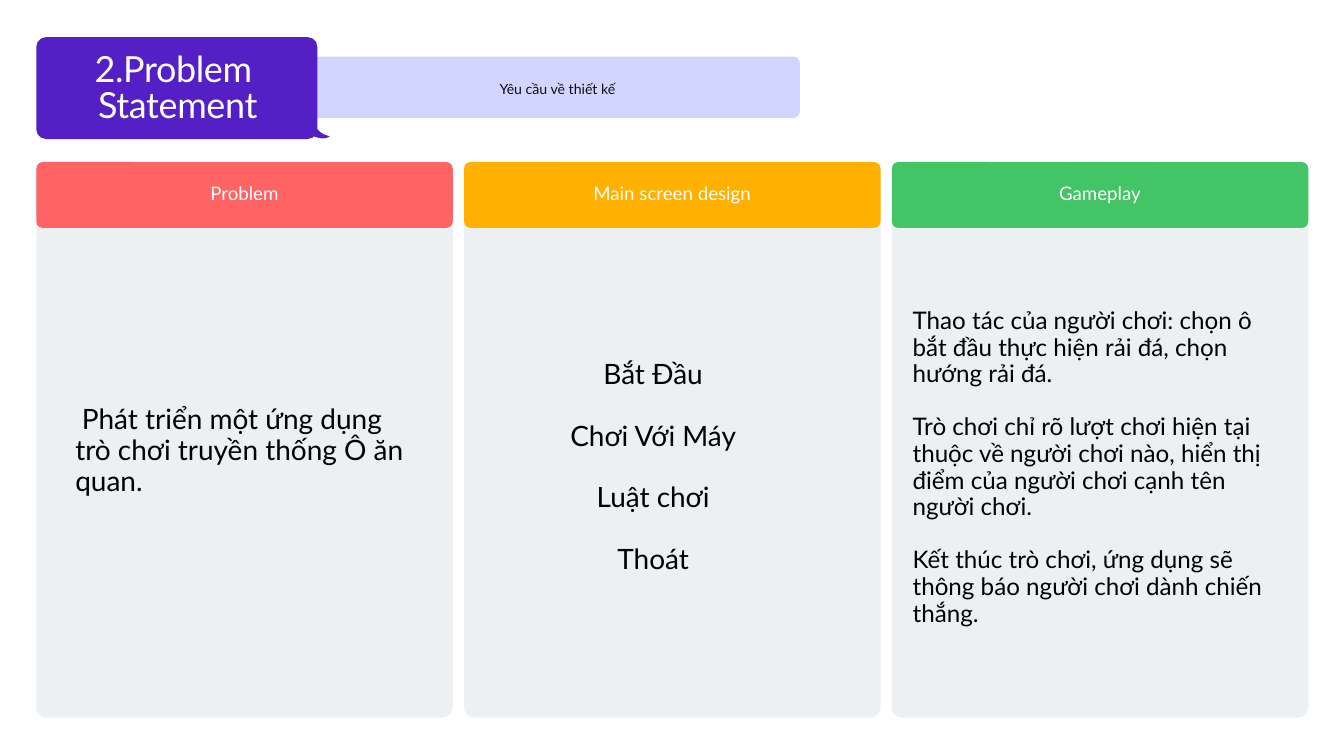
from pptx import Presentation
from pptx.dml.color import RGBColor
from pptx.enum.shapes import MSO_SHAPE
from pptx.enum.text import MSO_ANCHOR, MSO_AUTO_SIZE, PP_ALIGN
from pptx.oxml.ns import qn
from pptx.util import Pt
from lxml import etree

FONT = "Lato"
COLORS = {
    "panel": "EDF0F2", "banner": "D2D5FF", "title": "541FC4",
    "problem": "FF6363", "screen": "FFB001", "gameplay": "43C466",
    "white": "FFFFFF", "black": "000000", "subtitle": "100F0D",
}
LEFT, TOP, PITCH = 38.9, 173.6, 458.3
COLUMN_WIDTH, PANEL_HEIGHT, HEADER_HEIGHT = 446.2, 595.4, 70.6
COLUMNS = [("Problem", "problem"), ("Main screen design", "screen"), ("Gameplay", "gameplay")]

PROBLEM = ["Phát triển một ứng dụng trò chơi truyền thống Ô ăn quan."]
MENU = ["Bắt Đầu", "Chơi Với Máy", "Luật chơi", "Thoát"]
GAMEPLAY = [
    "Thao tác của người chơi: chọn ô bắt đầu thực hiện rải đá, chọn hướng rải đá.",
    "Trò chơi chỉ rõ lượt chơi hiện tại thuộc về người chơi nào, hiển thị điểm của "
    "người chơi cạnh tên người chơi.",
    "Kết thúc trò chơi, ứng dụng sẽ thông báo người chơi dành chiến thắng.",
]


def paint(shape, color):
    shape.shadow.inherit = False
    shape.fill.solid()
    shape.fill.fore_color.rgb = RGBColor.from_string(COLORS[color])
    shape.line.fill.background()


def add_card(slide, left, top, width, height, radius, color):
    shape = slide.shapes.add_shape(
        MSO_SHAPE.ROUNDED_RECTANGLE, Pt(left), Pt(top), Pt(width), Pt(height))
    shape.adjustments[0] = radius / min(width, height)
    paint(shape, color)


def add_title_tail(slide):
    points = [(339.8, 138.2), (343, 141.5), (347, 144), (353.5, 146.2),
              (349.5, 148), (345, 148.4), (340, 147.4), (336.2, 146.2)]
    start, *rest = [(Pt(x), Pt(y)) for x, y in points]
    builder = slide.shapes.build_freeform(*start, scale=1.0)
    builder.add_line_segments(rest, close=True)
    paint(builder.convert_to_shape(), "title")


def write_text(shape, lines, size, spacing, color, align=PP_ALIGN.CENTER,
               gap=0, indent=0, tracking=0):
    frame = shape.text_frame
    frame.word_wrap = True
    frame.auto_size = MSO_AUTO_SIZE.NONE
    frame.vertical_anchor = MSO_ANCHOR.TOP
    frame.margin_left = frame.margin_top = frame.margin_right = frame.margin_bottom = 0
    for index, line in enumerate(lines):
        paragraph = frame.paragraphs[0] if index == 0 else frame.add_paragraph()
        # Plain paragraphs: no bullet, no hanging indent
        properties = paragraph._p.get_or_add_pPr()
        properties.set("marL", "0")
        properties.set("indent", str(Pt(indent)))
        etree.SubElement(properties, qn("a:buNone"))
        paragraph.alignment = align
        paragraph.line_spacing = Pt(spacing)
        paragraph.space_before = Pt(gap if index else 0)
        paragraph.space_after = Pt(0)
        run = paragraph.add_run()
        run.text = line
        run.font.size = Pt(size)
        run.font.name = FONT
        run.font.color.rgb = RGBColor.from_string(COLORS[color])
        if tracking:
            run.font._element.set("spc", str(round(tracking * 100)))


def add_text(slide, box, *args, **options):
    shape = slide.shapes.add_textbox(*[Pt(value) for value in box])
    write_text(shape, *args, **options)


def fill_placeholder(shape, box, *args, **options):
    shape.left, shape.top, shape.width, shape.height = [Pt(value) for value in box]
    write_text(shape, *args, **options)
    # Bring in front of the cards
    shape.element.getparent().append(shape.element)


def add_column(slide, index, label, color):
    left = LEFT + index * PITCH
    add_card(slide, left, TOP, COLUMN_WIDTH, PANEL_HEIGHT, 11.5, "panel")
    add_card(slide, left, TOP, COLUMN_WIDTH, HEADER_HEIGHT, 7, color)
    add_text(slide, (left + 15.5, 197.3, 415, 23), [label], 20, 22, "white")


def main():
    presentation = Presentation()
    presentation.slide_width, presentation.slide_height = Pt(1440), Pt(810)
    slide = presentation.slides.add_slide(presentation.slide_layouts[3])
    title, menu, gameplay = slide.placeholders

    # Banner and title bubble
    add_card(slide, 321, 60.7, 536, 65.8, 7, "banner")
    add_text(slide, (373, 82.8, 448.6, 20.2), ["Yêu cầu về thiết kế"], 15.1, 21.2, "subtitle")
    add_card(slide, LEFT, 39.8, 301.2, 109.2, 10.5, "title")
    add_title_tail(slide)
    fill_placeholder(title, (67, 57.6, 247, 80), ["2.Problem ", "Statement"],
                     38.5, 38.5, "white", tracking=-0.4)

    # Columns
    for index, (label, color) in enumerate(COLUMNS):
        add_column(slide, index, label, color)

    # Column contents
    add_text(slide, (80.7, 433.5, 366.5, 97.2), PROBLEM, 30, 33, "black",
             align=PP_ALIGN.LEFT, indent=7)
    fill_placeholder(menu, (607.7, 385.2, 184.3, 226.8), MENU, 30, 33, "black", gap=33)
    fill_placeholder(gameplay, (977.8, 329.8, 401.8, 399.6), GAMEPLAY, 25.9, 28.5, "black",
                     align=PP_ALIGN.LEFT, gap=28.5)

    presentation.save("out.pptx")


if __name__ == "__main__":
    main()
